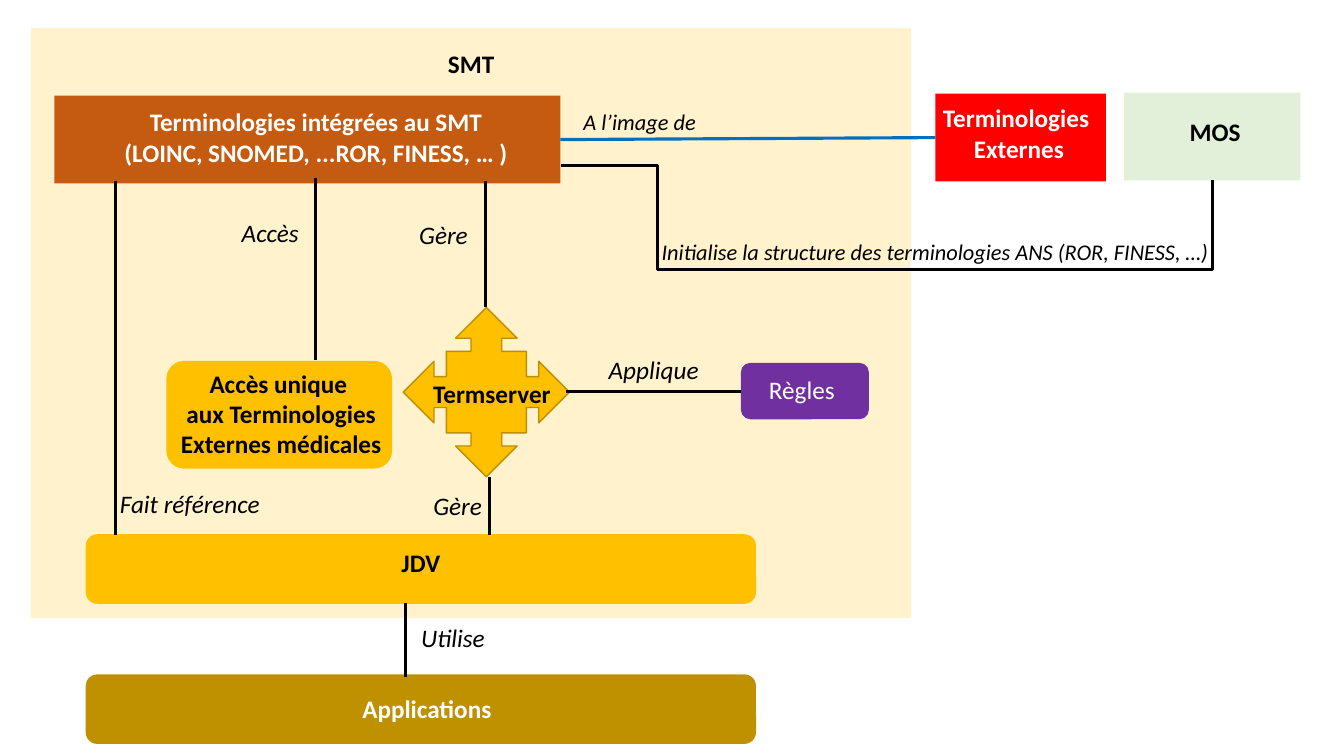
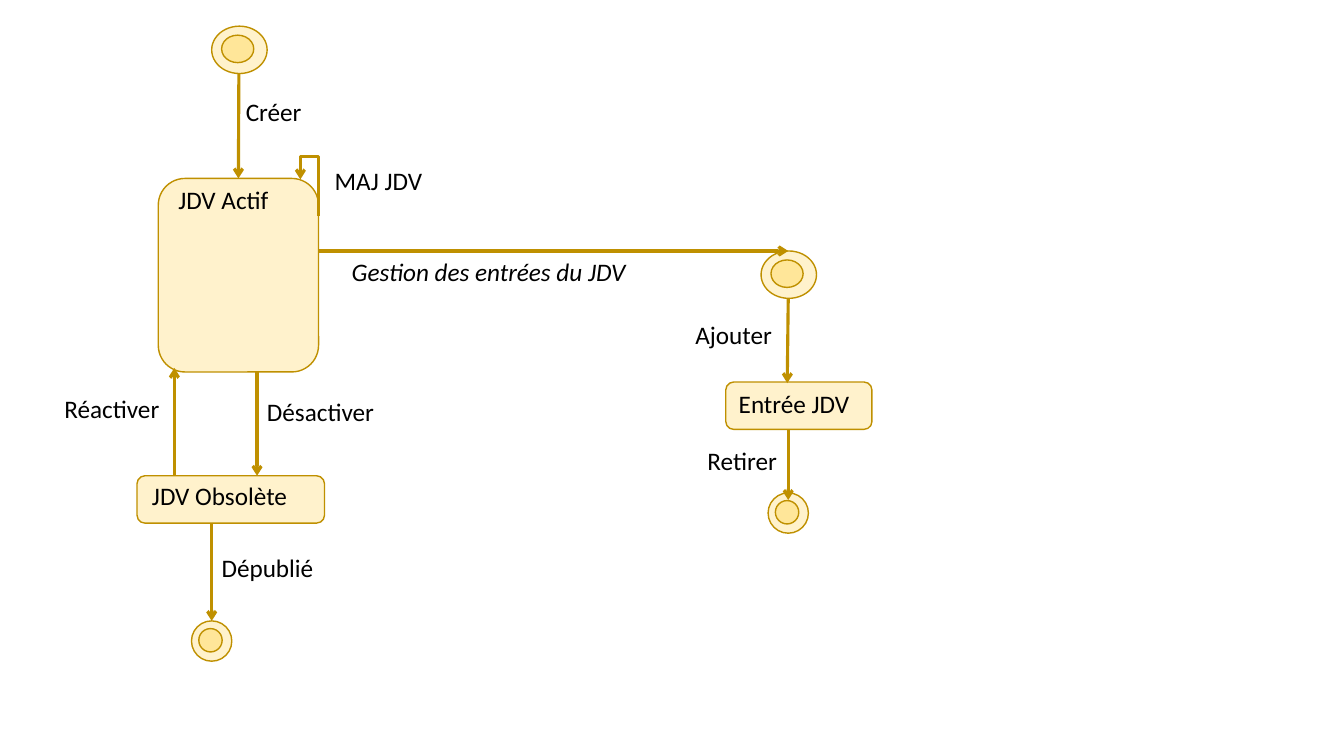
from dataclasses import dataclass

from lxml.etree import SubElement
from pptx import Presentation
from pptx.dml.color import RGBColor
from pptx.enum.shapes import MSO_CONNECTOR, MSO_SHAPE
from pptx.enum.text import MSO_AUTO_SIZE, PP_ALIGN
from pptx.oxml.ns import qn
from pptx.util import Inches, Pt


@dataclass(frozen=True)
class Theme:
    font: str = "Calibri"
    body: int = 18
    small: int = 16
    edge: float = 1
    stroke: float = 2.25
    black: str = "000000"
    white: str = "FFFFFF"
    cream: str = "FFF2CC"
    sand: str = "FFE699"
    gold: str = "FFC000"
    ochre: str = "BF9000"
    rim: str = "BD8E00"
    rust: str = "C55A11"
    red: str = "FF0000"
    mint: str = "E2F0D9"
    plum: str = "7030A0"
    blue: str = "0070C0"


T = Theme()
CELL = 0.1  # grid pitch in inches
RECT, ROUND = MSO_SHAPE.RECTANGLE, MSO_SHAPE.ROUNDED_RECTANGLE


def cells(*counts):
    return [Inches(n * CELL) for n in counts]


class Region:
    """Part of a slide; positions count grid cells from its top left corner."""

    def __init__(self, slide, left, top):
        self.shapes = slide.shapes
        self.left, self.top = left, top

    def place(self, x, y, *size):
        return cells(self.left + x, self.top + y, *size)

    def block(self, box, fill, kind=RECT, edge=None):
        shape = self.shapes.add_shape(kind, *self.place(*box))
        shape.shadow.inherit = False
        shape.fill.solid()
        shape.fill.fore_color.rgb = RGBColor.from_string(fill)
        if edge:
            shape.line.color.rgb = RGBColor.from_string(edge)
            shape.line.width = Pt(T.edge)
        else:
            shape.line.fill.background()
        return shape

    def label(self, box, text, color=T.black, size=T.body, bold=False,
              italic=False, center=False, wrap=True):
        frame = self.shapes.add_textbox(*self.place(*box)).text_frame
        frame.word_wrap = wrap
        frame.auto_size = MSO_AUTO_SIZE.SHAPE_TO_FIT_TEXT
        frame.text = text
        for par in frame.paragraphs:
            par.alignment = PP_ALIGN.CENTER if center else PP_ALIGN.LEFT
            font = par.font
            font.name, font.size = T.font, Pt(size)
            font.bold, font.italic = bold, italic
            font.color.rgb = RGBColor.from_string(color)

    def title(self, box, text, color=T.black, wrap=True):
        self.label(box, text, color, bold=True, center=True, wrap=wrap)

    def verb(self, box, text):
        self.label(box, text, italic=True, wrap=False)

    def note(self, box, text):
        self.label(box, text, size=T.small, italic=True, center=True)

    def line(self, start, end, color=T.black, arrow=False,
             kind=MSO_CONNECTOR.STRAIGHT):
        """Draw a line; each end is a point or a (shape, side) pair."""
        joins = [None if isinstance(p[0], (int, float)) else p
                 for p in (start, end)]
        points = [(0, 0) if j else p for j, p in zip(joins, (start, end))]
        link = self.shapes.add_connector(
            kind, *self.place(*points[0]), *self.place(*points[1]))
        if joins[0]:
            link.begin_connect(*joins[0])
        if joins[1]:
            link.end_connect(*joins[1])
        link.line.color.rgb = RGBColor.from_string(color)
        link.line.width = Pt(T.stroke)
        props = link._element.spPr
        if arrow:
            SubElement(props.find(qn("a:ln")), qn("a:tailEnd"), type="arrow")
        SubElement(props, qn("a:effectLst"))
        return link

    def elbow(self, start, end, preset, bends, turn=0, **look):
        """Draw a bent connector with its bends given as shares of its box."""
        link = self.line(start, end, kind=MSO_CONNECTOR.ELBOW, **look)
        props = link._element.spPr
        geom = props.find(qn("a:prstGeom"))
        geom.set("prst", preset)
        guides = geom.find(qn("a:avLst"))
        if guides is None:
            guides = SubElement(geom, qn("a:avLst"))
        for i, share in enumerate(bends, 1):
            SubElement(guides, qn("a:gd"), name=f"adj{i}",
                       fmla=f"val {round(share * 100000)}")
        if turn:
            props.find(qn("a:xfrm")).set("rot", str(turn * 60000))

    def ring(self, x, y, w, h):
        """Draw a start or end state as two nested ovals."""
        inner = (x + 0.18 * w, y + 0.19 * h, 0.58 * w, 0.58 * h)
        for box, fill in (((x, y, w, h), T.cream), (inner, T.sand)):
            self.block(box, fill, MSO_SHAPE.OVAL, T.ochre)

    def state(self, box, spot, text, wrap=False):
        shape = self.block(box, T.cream, ROUND, T.ochre)
        self.label(spot, text, wrap=wrap)
        return shape

    def step(self, start, end):
        self.line(start, end, T.ochre, arrow=True)


def panel(slide):
    """Draw the server area and return its block of terminologies."""
    r = Region(slide, 3.1, 2.8)
    r.block((0, 0, 87.3, 58.5), T.cream)
    r.title((0, 1.5, 87.3, 4), "SMT")

    r.block((13.4, 33, 22.4, 10.7), T.gold, ROUND)
    r.title((13.8, 33.2, 22, 10.1),
            "Accès unique \naux Terminologies\nExternes médicales", wrap=False)
    r.block((5.4, 50.2, 66.5, 6.9), T.gold, ROUND)
    r.title((5.4, 51, 66.5, 4), "JDV")
    terms = r.block((2.3, 6.7, 50.2, 8.7), T.rust)
    r.title((4, 7.3, 48.5, 7.1), "Terminologies intégrées au SMT\n"
            "(LOINC, SNOMED, ...ROR, FINESS, … )", T.white)
    r.block((36.9, 27.7, 16.5, 16.8), T.gold,
            MSO_SHAPE.QUAD_ARROW_CALLOUT, T.rim)
    r.title((38.8, 34.2, 13.8, 4), "Termserver", wrap=False)
    rules = r.block((70.4, 33.2, 12.7, 5.6), T.plum, ROUND)
    r.label((72.2, 33.8, 9.1, 4), "Règles", T.white)

    for x, top, bottom in ((8.4, 15.2, 50.3), (28.2, 14.9, 32.9),
                           (45.1, 15.2, 27.7), (45.5, 44.5, 50.3)):
        r.line((x, top), (x, bottom))
    r.line((53.1, 36), (rules, 1))
    for x, y, w, text in ((7.8, 45.2, 16.1, "Fait référence"),
                          (19.9, 18.3, 7.7, "Accès"),
                          (37.5, 18.5, 6.9, "Gère"),
                          (38.9, 45.4, 6.9, "Gère"),
                          (56.3, 31.9, 11, "Applique")):
        r.verb((x, y, w, 4), text)
    return terms


def apps(slide):
    r = Region(slide, 8.5, 59.8)
    r.block((0, 7.1, 66.5, 6.9), T.ochre, ROUND)
    r.title((1.3, 8.5, 65.1, 4), "Applications", T.white)
    r.line((31.7, 0), (31.7, 7.4))
    r.verb((32.3, 1.4, 8.4, 4), "Utilise")


def sources(slide):
    """Draw the outside sources and return the external terminologies."""
    r = Region(slide, 92.8, 9.2)
    outer = r.block((0, 0.1, 16.9, 8.7), T.red)
    r.title((-0.6, 0.5, 17.2, 7.1), "Terminologies\n Externes", T.white)
    r.block((18.7, 0, 17.5, 8.7), T.mint)
    r.title((19.3, 1.9, 16.9, 4), "MOS")
    return outer


def links(slide, terms, outer):
    r = Region(slide, 54.8, 10.2)
    r.line((outer, 1), (terms, 3), T.blue)
    r.note((0, 0, 17.3, 3.7), "A l’image de")
    r.elbow((0.9, 6.2), (65.5, 7.7), "bentConnector4", (0.147, 6.9))
    r.note((9.6, 12.9, 56.7, 3.7),
           "Initialise la structure des terminologies ANS (ROR, FINESS, …)")


def cycle(slide):
    """Draw the life cycle of a value set."""
    r = Region(slide, 5, 2)
    r.ring(16, 0.6, 5.5, 4.7)
    r.ring(14, 59.6, 4, 4)
    active = r.state((10.7, 15.7, 15.9, 19.2), (11.7, 15.8, 11.1, 4),
                     "JDV Actif")
    r.state((8.6, 45.2, 18.6, 4.7), (9.1, 45.2, 15.6, 4), "JDV Obsolète")
    r.step((18.7, 5.3), (active, 0))
    for x, start, end in ((20.5, 34.8, 45.2), (12.3, 45.2, 34.5),
                          (16, 49.9, 59.6)):
        r.step((x, start), (x, end))
    r.elbow((23.9, 18.5), (27.5, 16.7), "bentConnector3", (1.626,),
            turn=270, color=T.ochre, arrow=True)
    for x, y, w, text in ((18.4, 7.1, 8.2, "Créer"),
                          (27.2, 13.9, 20.2, "MAJ JDV"),
                          (0.4, 36.5, 14.5, "Réactiver"),
                          (20.5, 36.8, 14.5, "Désactiver"),
                          (16, 52.3, 13.7, "Dépublié")):
        r.label((x, y, w, 4), text)


def entries(slide):
    """Draw the handling of the entries in a value set."""
    r = Region(slide, 31.6, 24.9)
    r.ring(43.9, 0, 5.5, 4.7)
    r.ring(44.6, 24, 4, 4)
    r.state((40.4, 13, 14.5, 4.7), (40.7, 13.1, 20.8, 4), "Entrée JDV",
            wrap=True)
    r.step((0, 0), (46.6, 0))
    r.step((46.6, 4.7), (46.5, 13.1))
    r.step((46.6, 17.8), (46.6, 24.7))
    r.verb((2.3, 0, 29.5, 4), "Gestion des entrées du JDV")
    r.label((36.4, 6.3, 14.6, 4), "Ajouter")
    r.label((37.6, 18.8, 14.6, 4), "Retirer")


def main():
    deck = Presentation()
    deck.slide_width, deck.slide_height = cells(133.33, 75)
    blank = deck.slide_layouts[6]

    server = deck.slides.add_slide(blank)
    terms = panel(server)
    apps(server)
    links(server, terms, sources(server))

    states = deck.slides.add_slide(blank)
    cycle(states)
    entries(states)
    deck.save("out.pptx")


if __name__ == "__main__":
    main()
